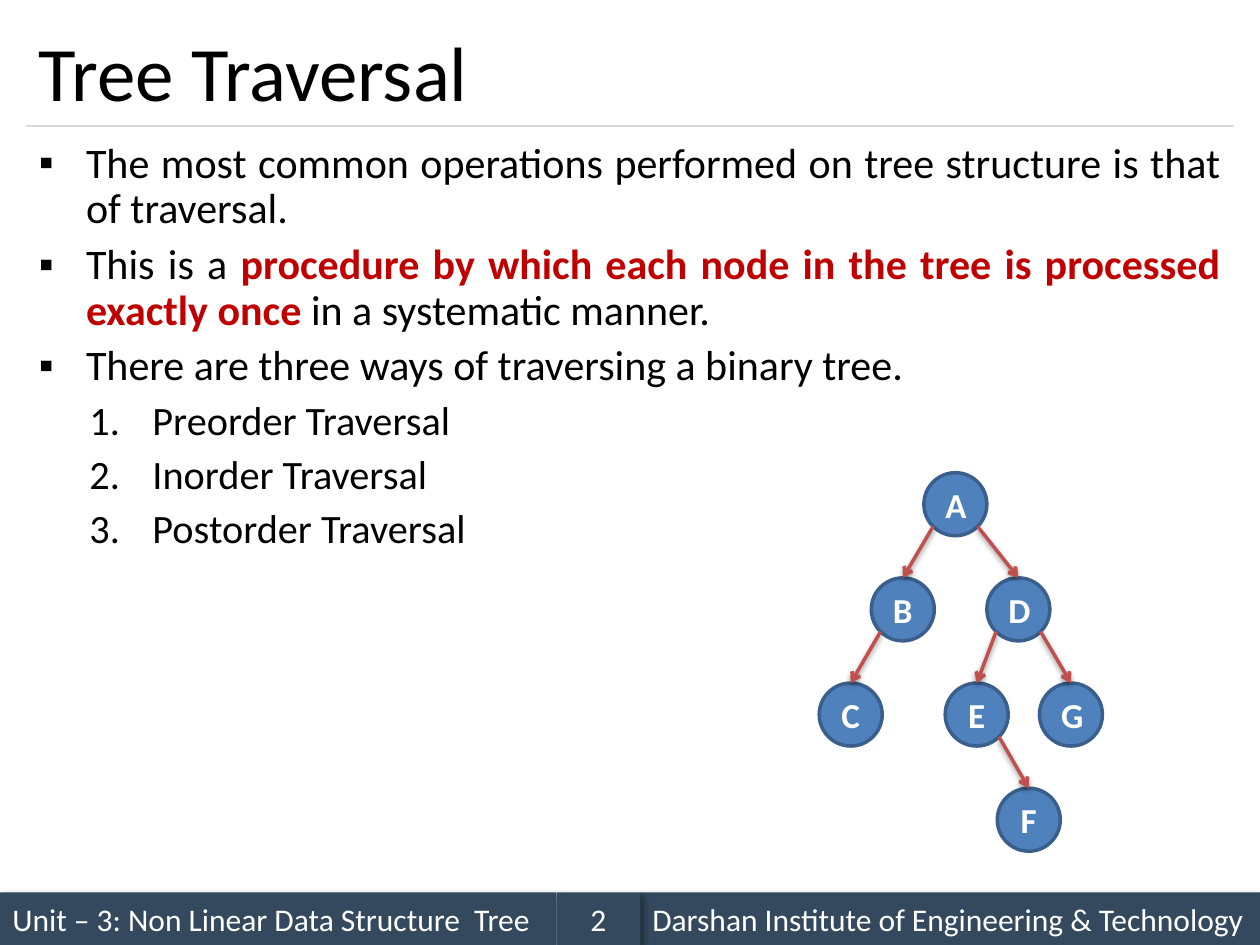
from lxml.etree import SubElement
from pptx import Presentation
from pptx.dml.color import RGBColor
from pptx.enum.shapes import MSO_CONNECTOR, MSO_SHAPE
from pptx.enum.text import MSO_ANCHOR, MSO_AUTO_SIZE, PP_ALIGN
from pptx.oxml.ns import qn
from pptx.util import Cm, Pt

# Content
TITLE = "Tree Traversal"
POINTS = [  # each point is a list of (text, emphasised)
    [("The most common operations performed on tree structure is that of traversal.", False)],
    [("This is a ", False),
     ("procedure by which each node in the tree is processed exactly once ", True),
     ("in a systematic manner.", False)],
    [("There are three ways of traversing a binary tree.", False)],
]
WAYS = ["Preorder Traversal", "Inorder Traversal", "Postorder Traversal"]
NODES = {  # letter: (centre x in cm, level)
    "A": (19.26, 0), "B": (18.2, 1), "D": (20.53, 1), "C": (17.15, 2),
    "E": (19.69, 2), "G": (21.59, 2), "F": (20.74, 3),
}
EDGES = ["AB", "BC", "AD", "DE", "DG", "EF"]
FOOTER = [  # text, left, width, alignment
    ("Unit – 3: Non Linear Data Structure  Tree", 0, 11.22, PP_ALIGN.LEFT),
    ("Darshan Institute of Engineering & Technology", 12.9, 12.5, PP_ALIGN.LEFT),
    ("2", 11.22, 1.69, PP_ALIGN.CENTER),
]

# Style and geometry, in cm
FONT = "Calibri"
BLACK, WHITE, RED = "000000", "FFFFFF", "C00000"
BAR, RULE = "34495E", "D9D9D9"
NODE_FILL, NODE_LINE, EDGE = "4F81BD", "3A5F8C", "C0504D"
MARGIN, CONTENT_WIDTH = 0.53, 24.34
FOOTER_TOP, FOOTER_HEIGHT = 17.99, 1.06
TREE_TOP, LEVEL_STEP, DIAMETER = 9.53, 2.12, 1.27


def paint(color_format, color):
    color_format.rgb = RGBColor.from_string(color)


def style(font, size, color, bold=False):
    font.name, font.size, font.bold = FONT, Pt(size), bold
    paint(font.color, color)


def place(part, left, top, width, height):
    part.left, part.top, part.width, part.height = map(Cm, (left, top, width, height))


def set_shadow(part, alpha=None, blur=0, distance=0, angle=0):
    """Replace the theme shadow; with no alpha there is none."""
    part_properties = part._element.spPr
    effects = SubElement(part_properties, qn("a:effectLst"))
    if alpha:
        outer = SubElement(effects, qn("a:outerShdw"), blurRad=str(Pt(blur)),
                           dist=str(Pt(distance)), dir=str(angle * 60000),
                           rotWithShape="0")
        shade = SubElement(outer, qn("a:srgbClr"), val=BLACK)
        SubElement(shade, qn("a:alpha"), val=str(alpha * 1000))


def add_filled(slide, kind, box, text, fill, size, align, bold=False):
    part = slide.shapes.add_shape(kind, *map(Cm, box))
    part.fill.solid()
    paint(part.fill.fore_color, fill)
    frame = part.text_frame
    frame.text, frame.word_wrap = text, True
    frame.vertical_anchor = MSO_ANCHOR.MIDDLE
    paragraph = frame.paragraphs[0]
    paragraph.alignment = align
    style(paragraph.runs[0].font, size, WHITE, bold)
    return part


def add_line(slide, start, end, color, width):
    line = slide.shapes.add_connector(MSO_CONNECTOR.STRAIGHT, *map(Cm, start + end))
    paint(line.line.color, color)
    line.line.width = Pt(width)
    return line


def add_item(frame, pieces, first, size, left, hanging, numbered=False):
    paragraph = frame.paragraphs[0] if first else frame.add_paragraph()
    paragraph.level = int(numbered)
    properties = paragraph._p.get_or_add_pPr()
    properties.set("marL", str(Cm(left)))
    properties.set("indent", str(-Cm(hanging)))
    if numbered:
        SubElement(properties, qn("a:buFont"), typeface="+mj-lt")
        SubElement(properties, qn("a:buAutoNum"), type="arabicPeriod")
    else:
        SubElement(properties, qn("a:buFont"), typeface="Arial")
        SubElement(properties, qn("a:buChar"), char="▪")
    paragraph.alignment = PP_ALIGN.JUSTIFY
    paragraph.line_spacing = 0.9
    paragraph.space_before = Pt(0 if first else 6)
    for text, emphasised in pieces:
        run = paragraph.add_run()
        run.text = text
        style(run.font, size, RED if emphasised else BLACK, emphasised)


def add_footer(slide):
    for text, left, width, align in FOOTER:
        bar = add_filled(slide, MSO_SHAPE.RECTANGLE,
                         (left, FOOTER_TOP, width, FOOTER_HEIGHT), text, BAR, 18, align)
        bar.line.fill.background()
        set_shadow(bar, 40, 4, 3, 45)


def add_text(slide):
    title, body = slide.shapes.title, slide.placeholders[1]
    place(title, MARGIN, 0.3, CONTENT_WIDTH, 2.24)
    title.text_frame.text = TITLE
    title.text_frame.auto_size = MSO_AUTO_SIZE.NONE
    title.text_frame.vertical_anchor = MSO_ANCHOR.MIDDLE
    heading = title.text_frame.paragraphs[0]
    heading.alignment = PP_ALIGN.LEFT
    style(heading.runs[0].font, 44, BLACK)

    place(body, MARGIN, 2.74, CONTENT_WIDTH, 8.89)
    body.text_frame.auto_size = MSO_AUTO_SIZE.NONE
    for index, pieces in enumerate(POINTS):
        add_item(body.text_frame, pieces, index == 0, 24, 0.95, 0.95)
    for way in WAYS:
        add_item(body.text_frame, [(way, False)], False, 23, 2.29, 1.27, numbered=True)


def add_tree(slide):
    tops = {letter: TREE_TOP + level * LEVEL_STEP for letter, (_, level) in NODES.items()}
    radius = DIAMETER / 2
    for letter, (x, _) in NODES.items():
        node = add_filled(slide, MSO_SHAPE.OVAL,
                          (x - radius, tops[letter], DIAMETER, DIAMETER),
                          letter, NODE_FILL, 20, PP_ALIGN.CENTER, bold=True)
        paint(node.line.color, NODE_LINE)
        node.line.width = Pt(2)
        node.shadow.inherit = False

    # Each edge leaves the parent at 45 degrees and meets the top of the child
    diagonal = radius * 0.5 ** 0.5
    for parent, child in EDGES:
        parent_x, child_x = NODES[parent][0], NODES[child][0]
        side = diagonal if child_x > parent_x else -diagonal
        start = (parent_x + side, tops[parent] + radius + diagonal)
        edge = add_line(slide, start, (child_x, tops[child]), EDGE, 2)
        SubElement(edge.line._get_or_add_ln(), qn("a:tailEnd"), type="arrow")
        set_shadow(edge, 38, 3.1, 1.6, 90)


def main():
    deck = Presentation()
    deck.slide_width, deck.slide_height = Cm(25.4), Cm(19.05)
    slide = deck.slides.add_slide(deck.slide_layouts[1])
    add_footer(slide)
    rule = add_line(slide, (MARGIN, 2.54), (MARGIN + CONTENT_WIDTH, 2.54), RULE, 0.75)
    set_shadow(rule)
    add_text(slide)
    add_tree(slide)
    deck.save("out.pptx")


if __name__ == "__main__":
    main()
